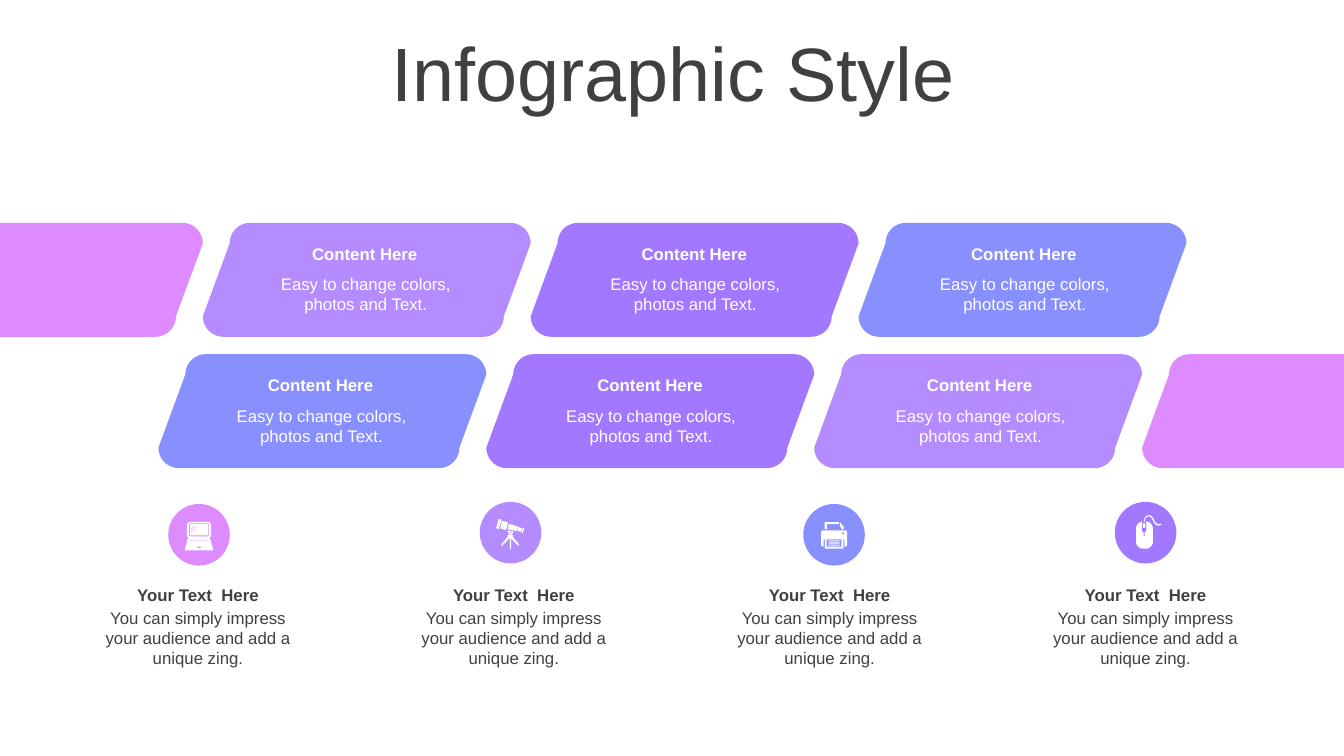
from math import cos, radians, sin

from pptx import Presentation
from pptx.dml.color import RGBColor
from pptx.enum import shapes, text
from pptx.util import Pt

HUES = {"pink": "DD8BFF", "lilac": "B58CFF", "violet": "A178FF",
        "blue": "888FFF", "ink": "404040", "white": "FFFFFF"}
WIDE, HIGH = 960, 540
TITLE = "Infographic Style"
CARD = ("Content Here", "Easy to change colors, photos and Text.")
NOTE = ("Your Text  Here",
        "You can simply impress your audience and add a unique zing.")

# Rows of bands: left, top, colours, text left, index of first card
ROWS = [
    (-89.3, 159.2, ["pink", "lilac", "violet", "blue"], 185, 1),
    (113.2, 253, ["blue", "violet", "lilac", "pink"], 153.4, 0),
]
BAND = dict(w=234.2, h=81.4, r=14.6, slant=19.2)

# Icon parts, measured from the centre of the disc: a tuple is a rounded
# box (x, y, w, h, r), a list is a polygon; nested parts cut holes.
LAPTOP = [
    (-8.6, -9.2, 17.2, 11.6, 2.2),
    (-7.2, -8.3, 14.4, 9.4, 1.4),
    (-6.6, -7.7, 13.2, 8.2, 1.2),
    [(-6, -4), (-3.2, -6.8), (-2.8, -6.4), (-5.6, -3.6)],
    [(-6, -2), (-1.8, -6.2), (-1.4, -5.8), (-5.6, -1.6)],
    [(-8.2, 2.6), (7.8, 2.6), (10, 10.2), (10, 11.2), (-10, 11.2), (-10, 10.2)],
    (-7.5, 3.8, 15, 0.4, 0),
    (-1.6, 8.4, 3.2, 1, 0.5),
]
SCOPE = [
    [(-8.6, -9.7), (-6.3, -9.2), (-8.4, -2.6), (-10.3, -3.2)],
    [(-6, -8.4), (-1.8, -7.3), (-3.2, -1.9), (-7.4, -3.1)],
    [(-1.2, -6.3), (5.2, -4.4), (4.2, -1), (-2.1, -2.6)],
    [(5.5, -4), (8.2, -3.2), (7.6, -0.6), (4.8, -1.3)],
    [(8.8, -3.4), (9.8, -3.1), (8.7, 0.4), (7.9, 0.1)],
    [(-1.8, -1.6), (1.9, -0.9), (1.8, 0.4), (0.6, 1.2), (0.6, 1.8),
     (1.8, 1.8), (1.8, 3.2), (6.3, 8.7), (5.5, 9.5), (0.5, 4.2),
     (0.5, 11.8), (-0.5, 11.8), (-0.5, 4.2), (-1, 4.2), (-6, 9.5),
     (-6.8, 8.7), (-2.3, 3.2), (-2.3, 1.8), (-1, 1.8), (-1, 1), (-1.8, 0.2)],
    (-0.7, -0.6, 1.2, 1.2, 0.6),
]
PRINTER = [
    (-9.3, -3.2, 18.6, 11.6, 1.5),
    (-7.4, 3.4, 14.8, 5, 0),
    (-6.6, 3.4, 13.2, 6.5, 0),
    (-5.3, 3.4, 10.6, 5, 0),
    (-4, 4, 8, 0.8, 0.4),
    (-4, 5.5, 8, 0.8, 0.4),
    (-4, 7, 8, 0.8, 0.4),
    (5.6, -1.7, 1.8, 1.4, 0.7),
    [(-6.7, -9.1), (3.4, -9.1), (3.4, -7.5), (-5.1, -7.5), (-5.1, -4), (-6.7, -4)],
    [(4.2, -9.1), (7, -5.5), (4.2, -5.5)],
    (5.2, -5.3, 1.6, 1.4, 0),
]
MOUSE = [
    (-6.8, -8, 12, 19.4, 5),
    (-2.7, -8, 3.2, 7.6, 1.3),
    (-2, -6.8, 1.8, 3.4, 0.9),
    (-1.4, -0.4, 0.7, 2.9, 0),
    [(-1.3, -8), (-0.8, -10.4), (0.5, -12), (2.4, -12.6), (4.5, -11.8),
     (6, -9.4), (7.2, -7), (9, -6), (11.2, -6.3), (11.2, -5.6), (9, -5.1),
     (7, -5.8), (5.4, -8.4), (4, -11), (2.4, -11.8), (0.9, -11.3),
     (-0.2, -10), (-0.6, -8)],
]
DISCS = [(142.2, 382, "pink", LAPTOP), (364.7, 380.5, "lilac", SCOPE),
         (595.8, 382, "blue", PRINTER), (818.3, 380.5, "violet", MOUSE)]
RADIUS = 22

deck = Presentation()
deck.slide_width, deck.slide_height = Pt(WIDE), Pt(HIGH)
page = deck.slides.add_slide(deck.slide_layouts[6]).shapes


def outline(x, y, w, h, r, slant=0):
    """Points of a box with round corners, its top edge moved right by slant."""
    if not r:
        return [(x, y), (x + w, y), (x + w, y + h), (x, y + h)]
    hubs = [(x + slant + r, y + r, 180), (x + w - r, y + r, 270),
            (x + w - slant - r, y + h - r, 0), (x + r, y + h - r, 90)]
    return [(a + r * cos(radians(turn + step)), b + r * sin(radians(turn + step)))
            for a, b, turn in hubs for step in range(0, 91, 10)]


def paint(shape, hue):
    shape.shadow.inherit = False
    shape.fill.solid()
    shape.fill.fore_color.rgb = RGBColor.from_string(HUES[hue])
    shape.line.fill.background()


def trace(loops, hue):
    """Draw closed loops of points as one shape."""
    loops = [[(Pt(x), Pt(y)) for x, y in loop] for loop in loops]
    pen = page.build_freeform(*loops[0][0])
    for i, loop in enumerate(loops):
        if i:
            pen.move_to(*loop[0])
        pen.add_line_segments(loop[1:], close=True)
    paint(pen.convert_to_shape(), hue)


def write(words, x, y, w, h, hue, size=12, bold=False):
    frame = page.add_textbox(Pt(x), Pt(y), Pt(w), Pt(h)).text_frame
    frame.word_wrap = True
    para = frame.paragraphs[0]
    para.text = words
    para.alignment = text.PP_ALIGN.CENTER
    font = para.font
    font.name, font.size, font.bold = "Arial", Pt(size), bold
    font.color.rgb = RGBColor.from_string(HUES[hue])
    return frame


head = write(TITLE, 25.2, 26.6, 911.5, 56.9, "ink", 54)
head.vertical_anchor = text.MSO_ANCHOR.MIDDLE
head.paragraphs[0].line_spacing = 0.9

for left, top, hues, start, first in ROWS:
    for i, hue in enumerate(hues):
        edge = outline(left + i * BAND["w"], top, **BAND)
        trace([[(min(max(x, 0), WIDE), y) for x, y in edge]], hue)
    for i in range(3):
        x = start + i * 235.4
        write(CARD[1], x, top + 33, 152.6, 36, "white")
        write(CARD[0], x, top + 11.4, 151.2, 21.6, "white", bold=True)

for i, (cx, cy, hue, icon) in enumerate(DISCS):
    disc = page.add_shape(shapes.MSO_SHAPE.OVAL, Pt(cx - RADIUS), Pt(cy - RADIUS),
                          Pt(2 * RADIUS), Pt(2 * RADIUS))
    paint(disc, hue)
    loops = [outline(*part) if isinstance(part, tuple) else part for part in icon]
    trace([[(cx + x, cy + y) for x, y in loop] for loop in loops], "white")
    x = 61.9 + i * 225.6
    write(NOTE[1], x, 430.6, 159.1, 51, "ink")
    write(NOTE[0], x, 414, 159.1, 21.6, "ink", bold=True)

deck.save("out.pptx")
